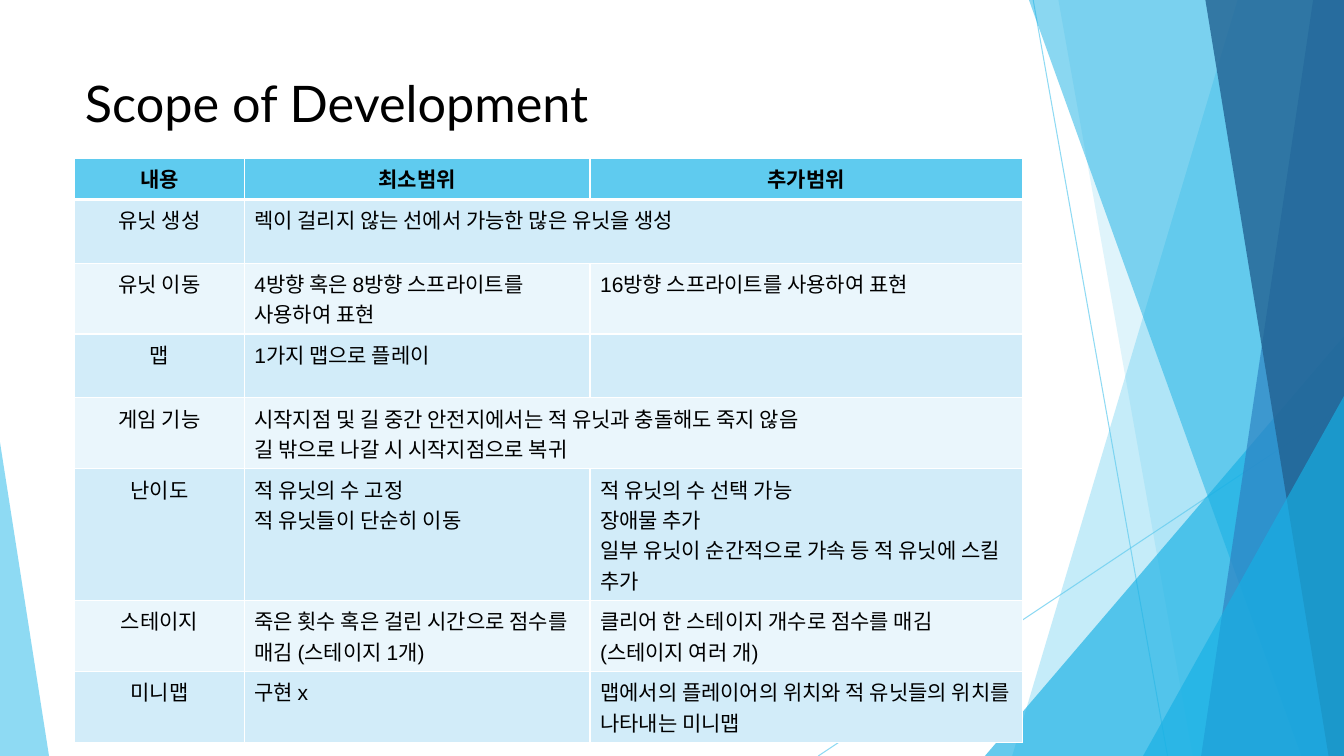
from dataclasses import dataclass

from lxml.etree import SubElement
from pptx import Presentation
from pptx.dml.color import RGBColor
from pptx.enum.shapes import MSO_CONNECTOR, MSO_SHAPE
from pptx.enum.text import MSO_ANCHOR, PP_ALIGN
from pptx.oxml.ns import qn
from pptx.util import Pt


@dataclass(frozen=True)
class Theme:
    """Colours, fonts and type sizes of the slide."""
    sky: str = "5FCBEF"
    azure: str = "17B0E4"
    blue: str = "2E83C3"
    navy: str = "226292"
    odd_row: str = "D2ECF9"
    even_row: str = "EAF6FC"
    white: str = "FFFFFF"
    black: str = "000000"
    title_font: str = "Lato"
    table_font: str = "Arial"
    title_size: int = 36
    table_size: int = 15


def paint(fill, colour, opacity=100):
    """Make a fill solid, with its opacity in percent."""
    fill.solid()
    fill.fore_color.rgb = RGBColor.from_string(colour)
    if opacity < 100:
        tint = fill._xPr.find(qn("a:solidFill"))[0]
        SubElement(tint, qn("a:alpha"), val=str(opacity * 1000))


def style_text(paragraph, font, size, bold=False):
    """Format every run of a paragraph."""
    for run in paragraph.runs:
        run.font.name, run.font.size, run.font.bold = font, Pt(size), bold
        run.font.color.rgb = RGBColor.from_string(theme.black)


theme = Theme()
WIDTH, HEIGHT = 960, 540
deck = Presentation()
deck.slide_width, deck.slide_height = Pt(WIDTH), Pt(HEIGHT)
slide = deck.slides.add_slide(deck.slide_layouts[5])
shapes = slide.shapes

# Thin rays behind the facets
for x1, y1, x2, y2 in [(738, 0, 834, HEIGHT), (WIDTH, 290, 584.5, HEIGHT)]:
    ray = shapes.add_connector(MSO_CONNECTOR.STRAIGHT, Pt(x1), Pt(y1), Pt(x2), Pt(y2))
    ray.line.width = Pt(0.75)
    paint(ray.line.fill, theme.sky, 70)
    SubElement(ray._element.spPr, qn("a:effectLst"))

# Bands: x at the top, x at the bottom, reaching the right edge.
# Wedges: left, top, right, apex (0 left, 1 right), reaching the bottom edge.
facets = [
    ("band", (884, 723), theme.sky, 36),
    ("band", (756, 852), theme.sky, 20),
    ("wedge", (703.5, 240, WIDTH, 1), theme.azure, 66),
    ("band", (735, 929.5), theme.azure, 50),
    ("band", (938, 858), theme.blue, 70),
    ("band", (861, 949), theme.navy, 80),
    ("wedge", (816.5, 283, WIDTH, 1), theme.azure, 66),
    ("wedge", (0, 316, 35, 0), theme.sky, 70),
]
for kind, geometry, colour, opacity in facets:
    if kind == "band":
        top_x, bottom_x = geometry
        outline = shapes.build_freeform(Pt(top_x), 0)
        outline.add_line_segments(
            [(Pt(WIDTH), 0), (Pt(WIDTH), Pt(HEIGHT)), (Pt(bottom_x), Pt(HEIGHT))])
        facet = outline.convert_to_shape()
    else:
        left, top, right, apex = geometry
        facet = shapes.add_shape(MSO_SHAPE.ISOSCELES_TRIANGLE, Pt(left), Pt(top),
                                 Pt(right - left), Pt(HEIGHT - top))
        facet.adjustments[0] = apex
    paint(facet.fill, colour, opacity)
    facet.line.fill.background()
    facet.shadow.inherit = False

title = shapes.title
title.left, title.top, title.width, title.height = Pt(53.5), Pt(48), Pt(450), Pt(101)
title.text_frame.text = "Scope of Development"
title.text_frame.vertical_anchor = MSO_ANCHOR.TOP
title.text_frame.paragraphs[0].alignment = PP_ALIGN.LEFT
style_text(title.text_frame.paragraphs[0], theme.title_font, theme.title_size)

# Topic, minimum scope, extra scope; None merges the extra scope into the minimum
scope = [
    ("내용", "최소범위", "추가범위"),
    ("유닛 생성", "렉이 걸리지 않는 선에서 가능한 많은 유닛을 생성 ", None),
    ("유닛 이동", "4방향 혹은 8방향 스프라이트를 사용하여 표현",
     "16방향 스프라이트를 사용하여 표현"),
    ("맵", "1가지 맵으로 플레이", ""),
    ("게임 기능", "시작지점 및 길 중간 안전지에서는 적 유닛과 충돌해도 죽지 않음\n"
     "길 밖으로 나갈 시 시작지점으로 복귀", None),
    ("난이도", "적 유닛의 수 고정\n적 유닛들이 단순히 이동",
     "적 유닛의 수 선택 가능\n장애물 추가\n"
     "일부 유닛이 순간적으로 가속 등 적 유닛에 스킬 추가"),
    ("스테이지", "죽은 횟수 혹은 걸린 시간으로 점수를 매김 (스테이지 1개)",
     "클리어 한 스테이지 개수로 점수를 매김 (스테이지 여러 개)"),
    ("미니맵", "구현 x", "맵에서의 플레이어의 위치와 적 유닛들의 위치를 나타내는 미니맵"),
]
column_widths = [121, 247, 309]
row_heights = [29.5] + [45.5] * 4 + [76.5] + [45.5] * 2
table = shapes.add_table(len(scope), len(column_widths), Pt(53.5), Pt(113),
                         Pt(sum(column_widths)), Pt(sum(row_heights))).table
for column, width in zip(table.columns, column_widths):
    column.width = Pt(width)

for r, (entries, height) in enumerate(zip(scope, row_heights)):
    table.rows[r].height = Pt(height)
    header = r == 0
    row_colour = theme.sky if header else theme.odd_row if r % 2 else theme.even_row
    for c, entry in enumerate(entries):
        cell = table.cell(r, c)
        borders = {"lnL": 1, "lnR": 1, "lnT": 3 if r == 1 else 1, "lnB": 3 if header else 1}
        for side, weight in borders.items():
            edge = SubElement(cell._tc.get_or_add_tcPr(), qn(f"a:{side}"), w=str(Pt(weight)))
            SubElement(SubElement(edge, qn("a:solidFill")), qn("a:srgbClr"), val=theme.white)
        paint(cell.fill, row_colour)
        if entry is None:
            table.cell(r, c - 1).merge(cell)
            continue
        cell.text_frame.text = entry
        for paragraph in cell.text_frame.paragraphs:
            paragraph.alignment = PP_ALIGN.CENTER if header or c == 0 else PP_ALIGN.LEFT
            style_text(paragraph, theme.table_font, theme.table_size, header)

deck.save("out.pptx")
